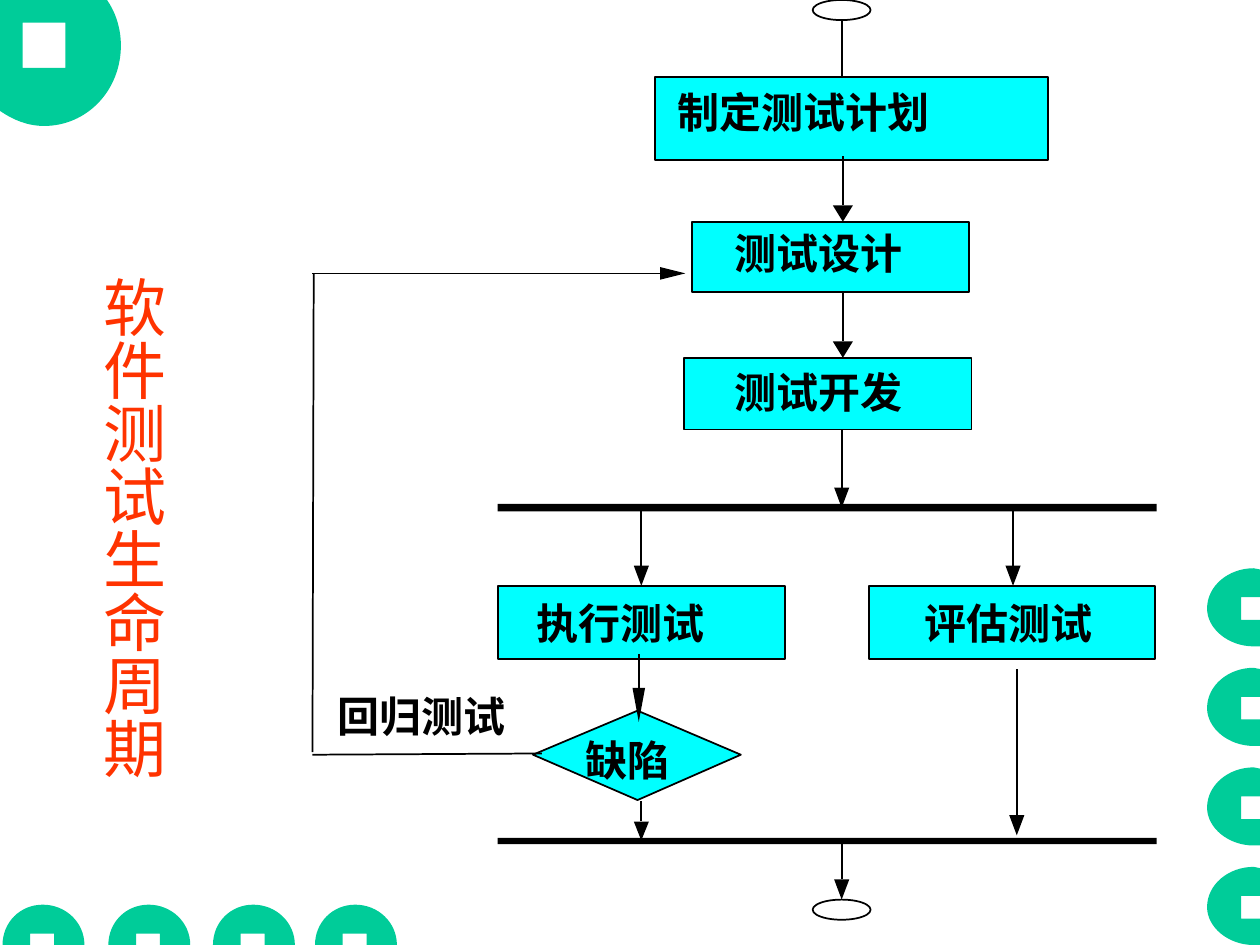
from lxml import etree
from pptx import Presentation
from pptx.dml.color import RGBColor
from pptx.enum.shapes import MSO_CONNECTOR, MSO_SHAPE
from pptx.enum.text import MSO_ANCHOR, MSO_AUTO_SIZE, PP_ALIGN
from pptx.oxml.ns import qn
from pptx.util import Inches, Pt

RECT, OVAL = MSO_SHAPE.RECTANGLE, MSO_SHAPE.OVAL
STRAIGHT = MSO_CONNECTOR.STRAIGHT
TOP, LEFT, NO_FIT = MSO_ANCHOR.TOP, PP_ALIGN.LEFT, MSO_AUTO_SIZE.NONE

GREEN = RGBColor(0x00, 0xCC, 0x99)
CYAN = RGBColor(0x00, 0xFF, 0xFF)
RED = RGBColor(0xFF, 0x33, 0x00)
BLACK = RGBColor(0, 0, 0)
WHITE = RGBColor(0xFF, 0xFF, 0xFF)
FONT = "Noto Sans CJK SC"
WIDTH, HEIGHT = 10, 7.5
AXIS = 6.68          # centre line of the main flow
BAR_LEFT, BAR_WIDTH = 3.95, 5.23
LOOP = 2.48          # left side of the regression loop

TITLE = "软件测试生命周期"

# text, box (left, top, width, height), text inset (left, top)
STEPS = [
    ("制定测试计划", (5.2, 0.61, 3.12, 0.66), (0.18, 0.08)),
    ("测试设计", (5.49, 1.76, 2.2, 0.56), (0.34, 0.05)),
    ("测试开发", (5.43, 2.84, 2.28, 0.57), (0.4, 0.07)),
    ("执行测试", (3.95, 4.65, 2.28, 0.58), (0.31, 0.09)),
    ("评估测试", (6.9, 4.65, 2.27, 0.58), (0.44, 0.09)),
]
LABELS = [
    ("回归测试", (2.68, 5.48, 1.34, 0.4)),
    ("缺陷", (4.65, 5.83, 1.04, 0.4)),
]
BARS = [(4, 0.06), (6.65, 0.05)]     # top, height
TERMINALS = [0, 7.14]                # tops of the start and end ovals
DEFECT = [(5.06, 5.64), (4.23, 5.99), (5.06, 6.35), (5.88, 5.99)]

# x, line start, head base, tip, half width of the head
DOWN_ARROWS = [
    (6.69, 1.24, 1.63, 1.76, 0.08), (6.69, 2.32, 2.71, 2.84, 0.08),
    (AXIS, 3.41, 3.87, 4.03, 0.06), (5.09, 4.03, 4.49, 4.65, 0.06),
    (8.04, 4.03, 4.49, 4.65, 0.06), (5.07, 5.19, 5.46, 5.73, 0.05),
    (8.07, 5.31, 6.47, 6.63, 0.06), (5.09, 6.36, 6.52, 6.67, 0.06),
    (AXIS, 6.67, 6.98, 7.14, 0.06),
]
PLAIN_LINES = [
    (AXIS, 0.16, AXIS, 0.61),
    (4.3, 5.98, LOOP, 5.99),
    (LOOP, 5.97, 2.49, 2.17),
    (LOOP, 2.17, 5.24, 2.17),
]
LOOP_HEAD = [(5.24, 2.22), (5.44, 2.17), (5.24, 2.12)]

# Outlines: two numbers are a corner, six are a Bézier curve
CORNER_RING = [(0, 0.88), (0.1, 0.95, 0.22, 1, 0.35, 1),
               (0.69, 1, 0.96, 0.72, 0.96, 0.36),
               (0.96, 0.23, 0.92, 0.1, 0.85, 0), (0, 0)]
CORNER_HOLE = [(0.52, 0.54), (0.18, 0.54), (0.18, 0.18), (0.52, 0.18)]
# from the top left of each ring
SIDE_RING = [(0.27, 0.41), (0.27, 0.23), (0.42, 0.23), (0.42, 0.01),
             (0.4, 0, 0.39, 0, 0.37, 0), (0.17, 0, 0, 0.14, 0, 0.32),
             (0, 0.48, 0.17, 0.62, 0.37, 0.62),
             (0.39, 0.62, 0.4, 0.62, 0.42, 0.62), (0.42, 0.41)]
BOTTOM_RING = [(0.32, 0), (0.14, 0, 0, 0.14, 0, 0.32), (0.22, 0.32), (0.22, 0.23),
               (0.41, 0.23), (0.41, 0.32), (0.65, 0.32), (0.65, 0.14, 0.5, 0, 0.32, 0)]
RINGS = [(SIDE_RING, 9.58, 4.51 + 0.79 * i) for i in range(4)]
RINGS += [(BOTTOM_RING, x, 7.18) for x in (2.5, 1.69, 0.86, 0.02)]


def inches(*values):
    return [Inches(v) for v in values]


def add_outline(s, nodes, fill, line=None, x=0, y=0, hole=()):
    """Draw a closed outline of corners and curves, moved by x and y."""
    points = [inches(x + px, y + py) for node in nodes
              for px, py in zip(node[::2], node[1::2])]
    builder = s.shapes.build_freeform(*points[0], scale=1.0)
    builder.add_line_segments(points[1:], close=True)
    if hole:
        builder.move_to(*inches(*hole[0]))
        builder.add_line_segments([inches(*p) for p in hole[1:]], close=True)
    sp = builder.convert_to_shape()
    segments = iter(list(sp._element.iter(qn("a:lnTo"))))
    for node in nodes[1:]:
        group = [next(segments) for _ in node[::2]]
        if len(group) == 3:
            curve = etree.Element(qn("a:cubicBezTo"))
            group[0].addprevious(curve)
            for segment in group:
                curve.append(segment[0])
                segment.getparent().remove(segment)
    paint(sp, fill, line)


def paint(sp, fill, line=None):
    sp.shadow.inherit = False
    sp.fill.solid()
    sp.fill.fore_color.rgb = fill
    if line is None:
        sp.line.fill.background()
    else:
        sp.line.color.rgb = line
        sp.line.width = Pt(1)


def add_box(s, kind, box, fill, line=None):
    sp = s.shapes.add_shape(kind, *inches(*box))
    paint(sp, fill, line)
    return sp


def write(sp, text, size=24, color=BLACK, bold=True, inset=(0, 0)):
    tf = sp.text_frame
    frame = {"word_wrap": True, "auto_size": NO_FIT, "vertical_anchor": TOP,
             "margin_left": Inches(inset[0]), "margin_top": Inches(inset[1]),
             "margin_right": 0, "margin_bottom": 0}
    for name, value in frame.items():
        setattr(tf, name, value)
    p = tf.paragraphs[0]
    p.alignment = LEFT
    r = p.add_run()
    r.text = text
    for name, value in {"size": Pt(size), "bold": bold, "name": FONT}.items():
        setattr(r.font, name, value)
    r.font.color.rgb = color
    etree.SubElement(r.font._element, qn("a:ea"), typeface=FONT)


def add_line(s, ends):
    line = s.shapes.add_connector(STRAIGHT, *inches(*ends))
    line.line.color.rgb = BLACK
    line.line.width = Pt(1)
    etree.SubElement(line._element.spPr, qn("a:effectLst"))


def add_title(s):
    title = s.shapes.title
    title.left, title.top, title.width, title.height = inches(0.6, 2.09, 0.8, 4.33)
    write(title, TITLE, 36, RED, False, (0.1, 0.1))
    tf = title.text_frame
    tf.margin_right = Inches(0.05)
    tf._txBody.bodyPr.set("vert", "eaVert")


def main():
    prs = Presentation()
    prs.slide_width, prs.slide_height = inches(WIDTH, HEIGHT)
    s = prs.slides.add_slide(prs.slide_layouts[5])
    add_outline(s, CORNER_RING, GREEN, hole=CORNER_HOLE)
    for nodes, x, y in RINGS:
        add_outline(s, nodes, GREEN, x=x, y=y)
    add_title(s)
    for top, height in BARS:
        add_box(s, RECT, (BAR_LEFT, top, BAR_WIDTH, height), BLACK)
    for top in TERMINALS:
        add_box(s, OVAL, (AXIS - 0.23, top, 0.46, 0.16), WHITE, BLACK)
    for text, box, inset in STEPS:
        write(add_box(s, RECT, box, CYAN, BLACK), text, inset=inset)
    add_outline(s, DEFECT, CYAN, BLACK)
    for text, box in LABELS:
        write(s.shapes.add_textbox(*inches(*box)), text)
    for ends in PLAIN_LINES:
        add_line(s, ends)
    for x, start, base, tip, half in DOWN_ARROWS:
        add_line(s, (x, start, x, base))
        add_outline(s, [(x - half, base), (x, tip), (x + half, base)], BLACK)
    add_outline(s, LOOP_HEAD, BLACK)
    prs.save("out.pptx")


if __name__ == "__main__":
    main()
